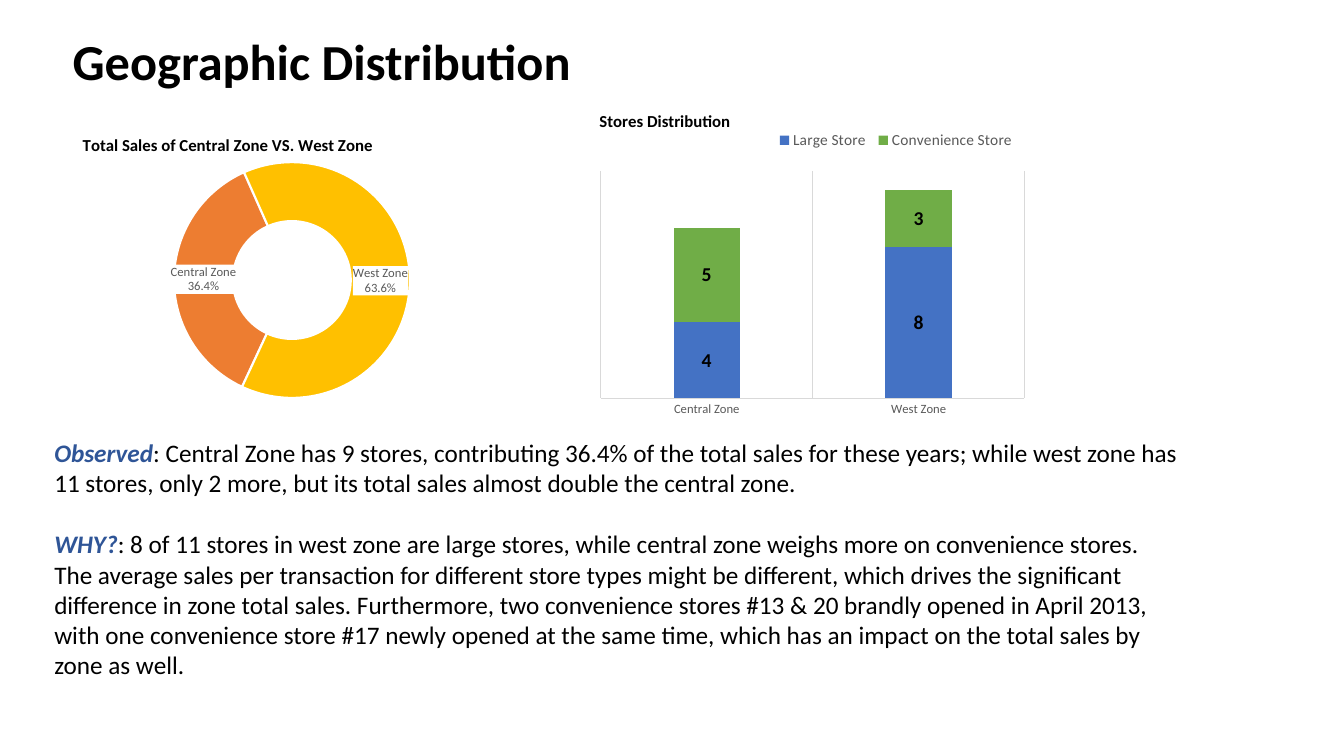
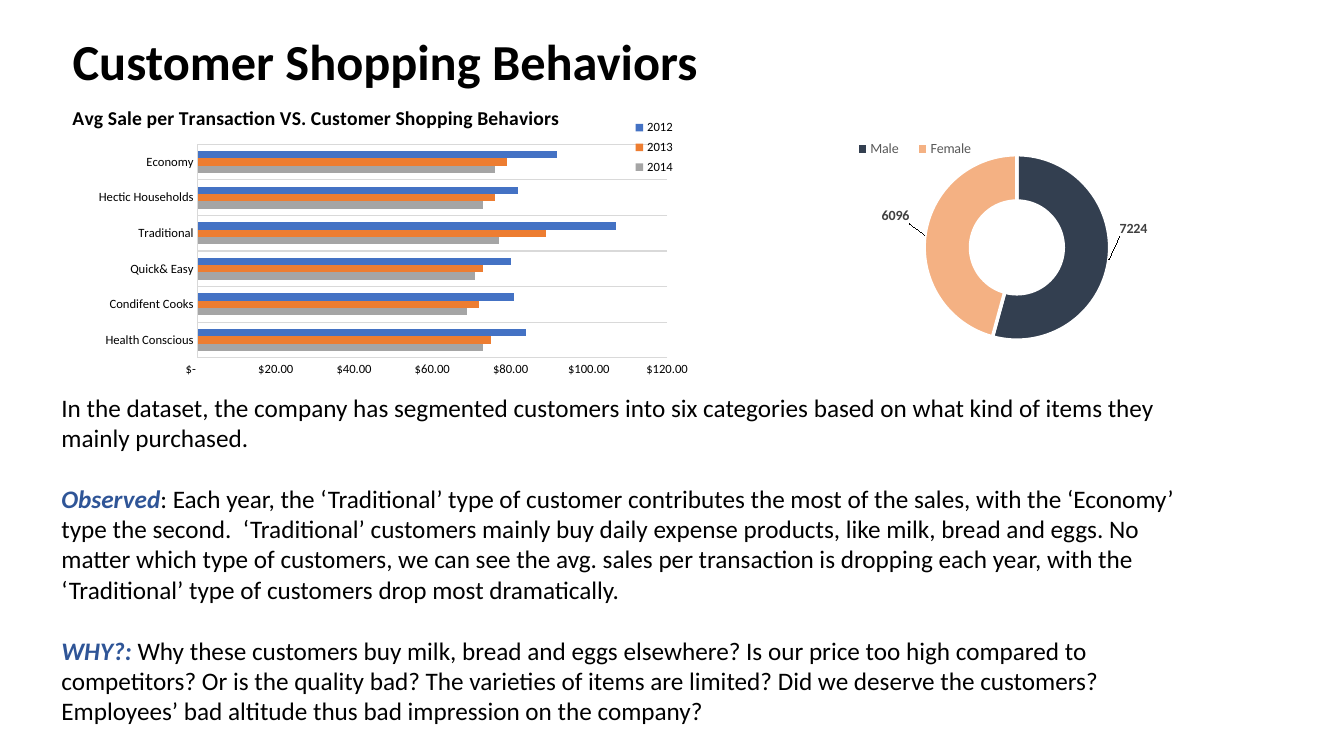
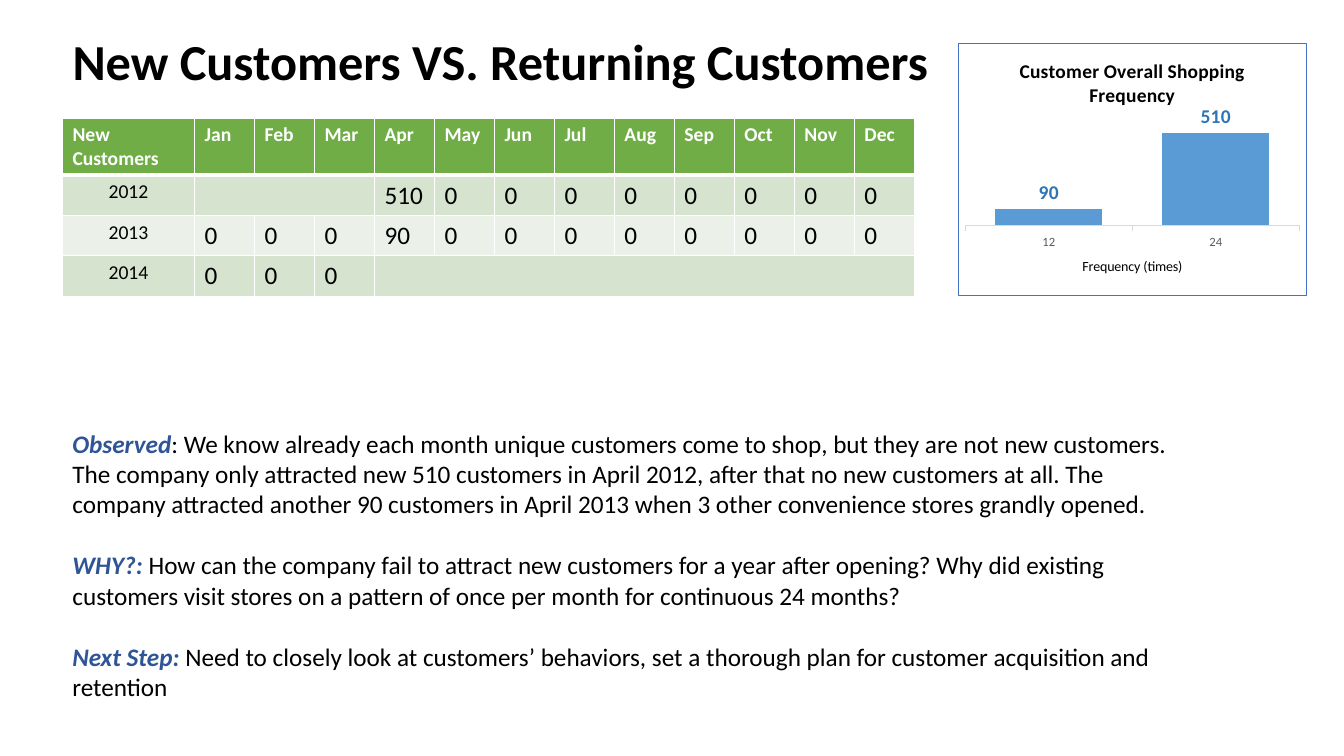
from lxml.etree import SubElement
from pptx import Presentation
from pptx.chart.data import CategoryChartData
from pptx.dml.color import RGBColor
from pptx.enum.chart import XL_CHART_TYPE, XL_LABEL_POSITION, XL_LEGEND_POSITION, XL_TICK_MARK
from pptx.enum.text import MSO_ANCHOR, PP_ALIGN
from pptx.oxml import parse_xml
from pptx.oxml.ns import nsdecls, qn
from pptx.util import Inches, Pt

FONT = "Calibri"
BLACK = RGBColor(0x00, 0x00, 0x00)
WHITE = RGBColor(0xFF, 0xFF, 0xFF)
HEADING = RGBColor(0x2F, 0x55, 0x97)
GRAY_TEXT = RGBColor(0x59, 0x59, 0x59)
DARK_TEXT = RGBColor(0x40, 0x40, 0x40)
RULE = RGBColor(0xD9, 0xD9, 0xD9)
BLUE = RGBColor(0x44, 0x72, 0xC4)
GREEN = RGBColor(0x70, 0xAD, 0x47)
ORANGE = RGBColor(0xED, 0x7D, 0x31)
GOLD = RGBColor(0xFF, 0xC0, 0x00)
SILVER = RGBColor(0xA5, 0xA5, 0xA5)
NAVY = RGBColor(0x33, 0x3F, 0x50)
PEACH = RGBColor(0xF4, 0xB1, 0x83)
SKY = RGBColor(0x5B, 0x9B, 0xD5)
SKY_TEXT = RGBColor(0x2E, 0x75, 0xB6)
BAND_DARK = RGBColor(0xD5, 0xE3, 0xCF)
BAND_LIGHT = RGBColor(0xEB, 0xF1, 0xE9)

SLIDE_WIDTH, SLIDE_HEIGHT = Inches(13.33), Inches(7.5)
MARGIN, TEXT_WIDTH = 4.65, 85.3
TITLE_BOX = (MARGIN, 3.07, TEXT_WIDTH, 10.93)
DOLLARS = '_("$"* #,##0.00_);_("$"* \\(#,##0.00\\);_("$"* "-"??_);_(@_)'
MONTHS = "Jan Feb Mar Apr May Jun Jul Aug Sep Oct Nov Dec".split()


def area(left, top, width, height):
    across, down = SLIDE_WIDTH / 100, SLIDE_HEIGHT / 100
    return int(left * across), int(top * down), int(width * across), int(height * down)


def style(font, size=18, color=BLACK, bold=False, italic=False):
    font.name, font.size, font.bold, font.italic = FONT, Pt(size), bold, italic
    font.color.rgb = color


def write(paragraph, text, align=None, **look):
    run = paragraph.add_run()
    run.text = text
    style(run.font, **look)
    if align is not None:
        paragraph.alignment = align


def add_titled_slide(presentation, layout, title):
    slide = presentation.slides.add_slide(layout)
    frame = slide.shapes.title.text_frame
    frame.vertical_anchor = MSO_ANCHOR.MIDDLE
    paragraph = frame.paragraphs[0]
    paragraph.line_spacing = 0.9
    write(paragraph, title, size=36, bold=True, align=PP_ALIGN.LEFT)
    return slide


def add_comments(slide, box, comments):
    frame = slide.shapes.add_textbox(*area(*box)).text_frame
    frame.word_wrap = True
    for index, (heading, text) in enumerate(comments):
        paragraph = frame.add_paragraph() if index else frame.paragraphs[0]
        paragraph.space_before = Pt(22 if index else 0)
        if heading:
            write(paragraph, heading, color=HEADING, bold=True, italic=True)
        write(paragraph, text)


def place(parent, index, left, top, width=None, height=None, inner=False, offset=False):
    for old in parent.findall(qn("c:layout")):
        parent.remove(old)
    layout = parse_xml(f"<c:layout {nsdecls('c')}><c:manualLayout/></c:layout>")
    values = [("layoutTarget", "inner")] if inner else []
    if not offset:
        values += [("xMode", "edge"), ("yMode", "edge")]
    values += [("x", left), ("y", top), ("w", width), ("h", height)]
    for name, value in values:
        if value is not None:
            SubElement(layout[0], qn(f"c:{name}")).set("val", str(value))
    parent.insert(index, layout)


def add_chart(slide, box, kind, categories, series, plot, title=None, title_size=14,
              title_at=None, border=None):
    data = CategoryChartData()
    data.categories = categories
    for name, values, _ in series:
        data.add_series(name, values)
    chart = slide.shapes.add_chart(kind, *area(*box), data).chart
    style(chart.font, size=10)
    chart.has_legend = False
    chart.has_title = title is not None
    if title:
        write(chart.chart_title.text_frame.paragraphs[0], title, size=title_size, bold=True)
        if title_at:
            place(chart.chart_title._element, 1, *title_at)
    place(chart.element.find(f".//{qn('c:plotArea')}"), 0, *plot, inner=True)
    line = f'<a:solidFill><a:srgbClr val="{border}"/></a:solidFill>' if border else "<a:noFill/>"
    chart.element.find(qn("c:chart")).addnext(parse_xml(
        f'<c:spPr {nsdecls("c", "a")}><a:noFill/><a:ln w="9525">{line}</a:ln></c:spPr>'))
    return chart


def add_legend(chart, position, box, size, color):
    chart.has_legend = True
    chart.legend.position = position
    chart.legend.include_in_layout = False
    style(chart.legend.font, size=size, color=color)
    place(chart.legend._element, 1, *box)


def add_doughnut(slide, box, categories, values, colors, plot, start=0, gap=1.5, **options):
    chart = add_chart(slide, box, XL_CHART_TYPE.DOUGHNUT, categories,
                      [("Series 1", values, None)], plot, **options)
    for tag, value in (("firstSliceAng", start), ("holeSize", 55)):
        chart.element.find(f".//{qn('c:' + tag)}").set("val", str(value))
    series = chart.plots[0].series[0]
    for index, color in enumerate(colors):
        shape_format = series.points[index].format
        shape_format.fill.solid()
        shape_format.fill.fore_color.rgb = color
        shape_format.line.color.rgb = WHITE
        shape_format.line.width = Pt(gap)
    return chart


def add_bars(slide, box, kind, categories, series, plot, top_value, gap, overlap=0,
             axis_color=GRAY_TEXT, grid=True, tick=XL_TICK_MARK.NONE, **options):
    chart = add_chart(slide, box, kind, categories, series, plot, **options)
    bars = chart.plots[0]
    bars.vary_by_categories = False
    bars.gap_width, bars.overlap = gap, overlap
    for bar_series, (_, _, color) in zip(bars.series, series):
        bar_series.format.fill.solid()
        bar_series.format.fill.fore_color.rgb = color
    axis = chart.category_axis
    axis.major_tick_mark = tick
    style(axis.tick_labels.font, size=9, color=axis_color)
    axis.has_major_gridlines = grid
    lines = [axis.format.line] + ([axis.major_gridlines.format.line] if grid else [])
    for line in lines:
        line.color.rgb = RULE
        line.width = Pt(0.75)
    values = chart.value_axis
    values.minimum_scale, values.maximum_scale = 0, top_value
    values.has_major_gridlines = False
    values.visible = False
    return chart


def label_series(series, position=None, **look):
    labels = series.data_labels
    labels.show_value = True
    if position is not None:
        labels.position = position
    style(labels.font, **look)
    return labels


def add_zone_sales(slide, box):
    chart = add_doughnut(slide, box, ["Central Zone", "West Zone"], [36.4, 63.6],
                         [ORANGE, GOLD], (0.28, 0.18, 0.45, 0.77), start=205,
                         title="Total Sales of Central Zone VS. West Zone",
                         title_size=12, title_at=(0.1, 0.08))
    labels = label_series(chart.plots[0].series[0], size=9, color=GRAY_TEXT)
    labels.show_value = False
    labels.show_percentage = labels.show_category_name = True
    labels.number_format, labels.number_format_is_linked = "0.0%", False
    element = labels._element
    element.find(qn("c:txPr")).addprevious(parse_xml(
        f'<c:spPr {nsdecls("c", "a")}><a:solidFill><a:srgbClr val="{WHITE}"/>'
        '</a:solidFill></c:spPr>'))
    separator = parse_xml(f"<c:separator {nsdecls('c')}>\n</c:separator>")
    element.find(qn("c:showBubbleSize")).addnext(separator)


def add_store_counts(slide, box):
    chart = add_bars(slide, box, XL_CHART_TYPE.COLUMN_STACKED, ["Central Zone", "West Zone"],
                     [("Large Store", [4, 8], BLUE), ("Convenience Store", [5, 3], GREEN)],
                     (0.02, 0.23, 0.94, 0.67), top_value=12, gap=219, overlap=100,
                     title="Stores Distribution", title_size=12, title_at=(0.01, 0.04))
    add_legend(chart, XL_LEGEND_POSITION.TOP, (0.4, 0.1, 0.55, 0.08), 11, GRAY_TEXT)
    for series in chart.plots[0].series:
        label_series(series, size=14, bold=True)


def add_segment_sales(slide, box):
    segments = ["Health Conscious", "Condifent Cooks", "Quick& Easy", "Traditional",
                "Hectic Households", "Economy"]
    years = [("2014", [73, 69, 71, 77, 73, 76], SILVER),
             ("2013", [75, 72, 73, 89, 76, 79], ORANGE),
             ("2012", [84, 81, 80, 107, 82, 92], BLUE)]
    chart = add_bars(slide, box, XL_CHART_TYPE.BAR_CLUSTERED, segments, years,
                     (0.21, 0.17, 0.73, 0.73), top_value=120, gap=182, axis_color=BLACK,
                     title="Avg Sale per Transaction VS. Customer Shopping Behaviors",
                     title_at=(0.01, 0.02))
    values = chart.value_axis
    values.visible = True
    values.major_unit = 20
    values.major_tick_mark = XL_TICK_MARK.NONE
    values.format.line.fill.background()
    values.tick_labels.number_format = DOLLARS
    values.tick_labels.number_format_is_linked = False
    style(values.tick_labels.font, size=9)
    add_legend(chart, XL_LEGEND_POSITION.RIGHT, (0.88, 0.07, 0.08, 0.22), 9, BLACK)


def add_gender_split(slide, box):
    chart = add_doughnut(slide, box, ["Male", "Female"], [7224, 6096], [NAVY, PEACH],
                         (0.3, 0.12, 0.39, 0.66), gap=2.5)
    add_legend(chart, XL_LEGEND_POSITION.BOTTOM, (0.13, 0.06, 0.3, 0.08), 10, GRAY_TEXT)
    series = chart.plots[0].series[0]
    label_series(series, size=10, color=DARK_TEXT, bold=True)
    for index, shift in enumerate([(0.1, -0.1), (-0.11, -0.08)]):
        label = series.points[index].data_label
        style(label.font, size=10, color=DARK_TEXT, bold=True)
        place(series._element.findall(f".//{qn('c:dLbl')}")[index], 1, *shift, offset=True)


def add_visit_frequency(slide, box):
    chart = add_bars(slide, box, XL_CHART_TYPE.COLUMN_CLUSTERED, ["12", "24"],
                     [("Series 1", [90, 510], SKY)], (0.02, 0.29, 0.96, 0.43),
                     top_value=600, gap=56, grid=False, tick=XL_TICK_MARK.OUTSIDE,
                     title="Customer Overall Shopping Frequency", border=BLUE)
    label_series(chart.plots[0].series[0], XL_LABEL_POSITION.OUTSIDE_END,
                 size=14, color=SKY_TEXT, bold=True)
    paragraph = chart.category_axis.axis_title.text_frame.paragraphs[0]
    write(paragraph, "Frequency (times)", size=10)


def set_borders(cell, top=1, bottom=1):
    properties = cell._tc.get_or_add_tcPr()
    for index, (side, width) in enumerate(zip("LRTB", (1, 1, top, bottom))):
        properties.insert(index, parse_xml(
            f'<a:ln{side} {nsdecls("a")} w="{Pt(width)}"><a:solidFill>'
            f'<a:srgbClr val="{WHITE}"/></a:solidFill></a:ln{side}>'))


def add_new_customers(slide, box):
    rows = [["New Customers"] + MONTHS,
            ["2012"] + [""] * 3 + ["510"] + ["0"] * 8,
            ["2013"] + ["0"] * 3 + ["90"] + ["0"] * 8,
            ["2014"] + ["0"] * 3 + [""] * 9]
    fills = [GREEN, BAND_DARK, BAND_LIGHT, BAND_DARK]
    left, top, width, height = area(*box)
    table = slide.shapes.add_table(len(rows), len(rows[0]), left, top, width, height).table
    first_column = Inches(1.31)
    for index, column in enumerate(table.columns):
        column.width = int((width - first_column) / len(MONTHS)) if index else first_column
    for row, (texts, fill) in enumerate(zip(rows, fills)):
        table.rows[row].height = Inches(0.4 if row else 0.56)
        for column, text in enumerate(texts):
            cell = table.cell(row, column)
            cell.fill.solid()
            cell.fill.fore_color.rgb = fill
            set_borders(cell, top=3 if row == 1 else 1, bottom=1 if row else 3)
            if text:
                write(cell.text_frame.paragraphs[0], text, bold=row == 0,
                      size=18 if row and column else 14,
                      color=BLACK if row else WHITE,
                      align=PP_ALIGN.CENTER if row and not column else PP_ALIGN.LEFT)
    table.cell(1, 1).merge(table.cell(1, 3))
    table.cell(3, 4).merge(table.cell(3, 12))


def build_geography(presentation, layout):
    slide = add_titled_slide(presentation, layout, "Geographic Distribution")
    add_comments(slide, (3.3, 57.2, TEXT_WIDTH, 37.73), [
        ("Observed", ": Central Zone has 9 stores, contributing 36.4% of the total sales for "
         "these years; while west zone has 11 stores, only 2 more, but its total sales almost "
         "double the central zone."),
        ("WHY?", ": 8 of 11 stores in west zone are large stores, while central zone weighs more "
         "on convenience stores. The average sales per transaction for different store types "
         "might be different, which drives the significant difference in zone total sales. "
         "Furthermore, two convenience stores #13 & 20 brandly opened in April 2013, with one "
         "convenience store #17 newly opened at the same time, which has an impact on the total "
         "sales by zone as well.")])
    add_zone_sales(slide, (2.03, 14, 39, 40.8))
    add_store_counts(slide, (44.04, 12.27, 33.53, 44.93))


def build_behaviors(presentation, layout):
    slide = add_titled_slide(presentation, layout, "Customer Shopping Behaviors")
    add_comments(slide, (3.83, 51.2, TEXT_WIDTH, 45.73), [
        ("", "In the dataset, the company has segmented customers into six categories based on "
         "what kind of items they mainly purchased."),
        ("Observed", ": Each year, the ‘Traditional’ type of customer contributes the most of "
         "the sales, with the ‘Economy’ type the second.  ‘Traditional’ customers mainly buy "
         "daily expense products, like milk, bread and eggs. No matter which type of customers, "
         "we can see the avg. sales per transaction is dropping each year, with the "
         "‘Traditional’ type of customers drop most dramatically."),
        ("WHY?: ", "Why these customers buy milk, bread and eggs elsewhere? Is our price too "
         "high compared to competitors? Or is the quality bad? The varieties of items are "
         "limited? Did we deserve the customers? Employees’ bad altitude thus bad impression on "
         "the company?")])
    add_gender_split(slide, (58.14, 16, 35.41, 37.2))
    add_segment_sales(slide, (MARGIN, 12.53, 47.86, 38.67))


def build_customers(presentation, layout):
    slide = add_titled_slide(presentation, layout, "New Customers VS. Returning Customers")
    add_comments(slide, (MARGIN, 56, TEXT_WIDTH, 37.73), [
        ("Observed", ": We know already each month unique customers come to shop, but they are "
         "not new customers. The company only attracted new 510 customers in April 2012, after "
         "that no new customers at all. The company attracted another 90 customers in April 2013 "
         "when 3 other convenience stores grandly opened."),
        ("WHY?: ", "How can the company fail to attract new customers for a year after opening? "
         "Why did existing customers visit stores on a pattern of once per month for continuous "
         "24 months?"),
        ("Next Step: ", "Need to closely look at customers’ behaviors, set a thorough plan for "
         "customer acquisition and retention")])
    add_new_customers(slide, (MARGIN, 15.6, 63.39, 23.6))
    add_visit_frequency(slide, (71.27, 5.73, 25.96, 33.47))


def main():
    presentation = Presentation()
    presentation.slide_width, presentation.slide_height = SLIDE_WIDTH, SLIDE_HEIGHT
    layout = presentation.slide_layouts[5]
    title = layout.placeholders[0]
    title.left, title.top, title.width, title.height = area(*TITLE_BOX)
    for build in (build_geography, build_behaviors, build_customers):
        build(presentation, layout)
    presentation.save("out.pptx")


if __name__ == "__main__":
    main()
